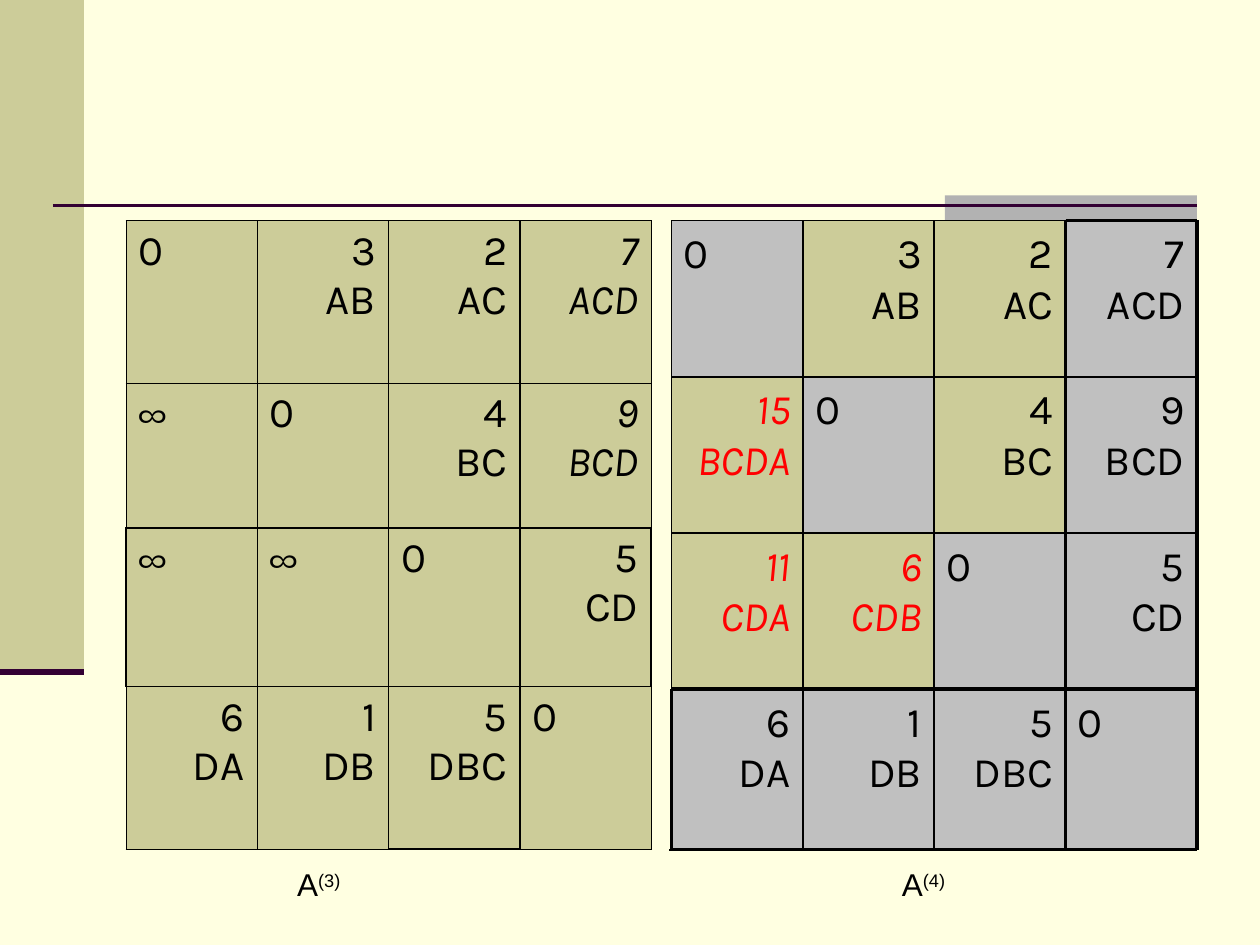
"""Builds a slide with the shortest-path matrices A(3) and A(4) side by side."""
from itertools import accumulate

from lxml import etree
from pptx import Presentation
from pptx.dml.color import RGBColor
from pptx.enum.shapes import MSO_CONNECTOR, MSO_SHAPE
from pptx.enum.text import MSO_ANCHOR, MSO_AUTO_SIZE, PP_ALIGN
from pptx.oxml.ns import qn
from pptx.util import Inches, Pt

RECT, STRAIGHT = MSO_SHAPE.RECTANGLE, MSO_CONNECTOR.STRAIGHT
TOP, LEFT, RIGHT = MSO_ANCHOR.TOP, PP_ALIGN.LEFT, PP_ALIGN.RIGHT
GROW = MSO_AUTO_SIZE.SHAPE_TO_FIT_TEXT
CREAM, KHAKI, SILVER, GREY = "FFFFE1", "CCCC99", "C0C0C0", "B2B2B2"
BLACK, RED, PLUM = "000000", "FF0000", "330033"
color = RGBColor.from_string

deck = Presentation()
deck.slide_width, deck.slide_height = Inches(10), Inches(7.5)
X, Y = deck.slide_width / 100, deck.slide_height / 100
slide = deck.slides.add_slide(deck.slide_layouts[6])
slide.background.fill.solid()
slide.background.fill.fore_color.rgb = color(CREAM)


def block(left, top, width, height, fill):
    """Add a plain filled rectangle, measured in percent of the slide."""
    shape = slide.shapes.add_shape(RECT, *map(round, (left * X, top * Y, width * X, height * Y)))
    shape.shadow.inherit = False
    shape.fill.solid()
    shape.fill.fore_color.rgb = color(fill)
    shape.line.fill.background()
    shape.text_frame.vertical_anchor = TOP
    return shape


def write(frame, entry, ink=BLACK, italic=False):
    """Write a distance and its route, one paragraph each."""
    parts = entry.split()
    frame.text = "\n".join(parts)
    style = {"name": "Karla", "size": Pt(24), "italic": italic}
    for paragraph in frame.paragraphs:
        paragraph.alignment = RIGHT if len(parts) > 1 else LEFT
        hanging = paragraph._p.get_or_add_pPr()
        hanging.set("marL", str(Inches(0.38)))
        hanging.set("indent", str(Inches(-0.38)))
        font = paragraph.runs[0].font
        font.color.rgb = color(ink)
        for key, value in style.items():
            setattr(font, key, value)


block(0, 0, 6.67, 71.11, KHAKI)
block(75, 20.67, 20, 2.67, GREY)

GRID_TOP = 23.33
COL = 41.7 / 4

step_3 = [
    ["0", "3 AB", "2 AC", "7 ACD"],
    ["∞", "0", "4 BC", "9 BCD"],
    ["∞", "∞", "0", "5 CD"],
    ["6 DA", "1 DB", "5 DBC", "0"],
]
row_heights = [17.2, 15.33, 16.8, 17.2]
new_in_3 = {"7 ACD", "9 BCD"}
matrix_3 = slide.shapes.add_table(
    4, 4, round(10 * X), round(GRID_TOP * Y), round(4 * COL * X), round(sum(row_heights) * Y)
).table
for r, entries in enumerate(step_3):
    matrix_3.rows[r].height = round(row_heights[r] * Y)
    matrix_3.columns[r].width = round(COL * X)
    for c, entry in enumerate(entries):
        cell = matrix_3.cell(r, c)
        write(cell.text_frame, entry, italic=entry in new_in_3)
        borders = {"lnL": (c, r), "lnR": (c + 1, r), "lnT": (r, c), "lnB": (r + 1, c)}
        for side, (edge, lane) in borders.items():
            heavy = edge in (2, 3) or (lane == 2 and edge in (0, 4))
            border = etree.SubElement(cell._tc.get_or_add_tcPr(), qn(f"a:{side}"))
            border.set("w", str(Pt(0.96 if heavy else 0.45)))
            paint = etree.SubElement(border, qn("a:solidFill"))
            etree.SubElement(paint, qn("a:srgbClr")).set("val", BLACK)
        cell.fill.solid()
        cell.fill.fore_color.rgb = color(KHAKI)

step_4 = [
    ["0", "3 AB", "2 AC", "7 ACD"],
    ["15 BCDA", "0", "4 BC", "9 BCD"],
    ["11 CDA", "6 CDB", "0", "5 CD"],
    ["6 DA", "1 DB", "5 DBC", "0"],
]
new_in_4 = {"15 BCDA", "11 CDA", "6 CDB"}
heights = [16.53, 16.53, 16.53, 17]
xs = [53.3 + COL * n for n in range(5)]
ys = list(accumulate(heights, initial=GRID_TOP))
for r, entries in enumerate(step_4):
    for c, entry in enumerate(entries):
        is_pivot = r == c or 3 in (r, c)
        is_new = entry in new_in_4
        tile = block(xs[c], ys[r], COL, heights[r], SILVER if is_pivot else KHAKI)
        tile.text_frame.word_wrap = True
        write(tile.text_frame, entry, RED if is_new else BLACK, is_new)

rules = [
    (4.2, 21.73, 95, 21.73, PLUM, 1.5),
    (0, 71.11, 6.67, 71.11, PLUM, 3.5),
    (xs[0], ys[0], xs[3], ys[0], BLACK, 1),
    (xs[3], ys[0], xs[4], ys[0], BLACK, 2),
    (xs[0], ys[0], xs[0], ys[3], BLACK, 1),
    (xs[0], ys[3], xs[0], ys[4], BLACK, 2),
    (53.1, ys[4], 73.9, ys[4], BLACK, 1),
]
for n in range(1, 5):
    weight = 1 if n < 3 else 2
    rules.append((xs[0], ys[n], xs[4], ys[n], BLACK, weight))
    rules.append((xs[n], ys[0], xs[n], ys[4], BLACK, weight))
for x1, y1, x2, y2, ink, weight in rules:
    rule = slide.shapes.add_connector(STRAIGHT, *map(round, (x1 * X, y1 * Y, x2 * X, y2 * Y)))
    rule.line.color.rgb = color(ink)
    rule.line.width = Pt(weight)
    etree.SubElement(rule._element.spPr, qn("a:effectLst"))

for left, step in ((22.6, "(3)"), (70.6, "(4)")):
    caption = block(left, 90.93, 5.4, 5.33, CREAM).text_frame
    for key, value in {"word_wrap": True, "auto_size": GROW, "margin_right": 0}.items():
        setattr(caption, key, value)
    label = caption.paragraphs[0]
    label.alignment = LEFT
    for text, baseline in (("A", 0), (step, 30000)):
        run = label.add_run()
        run.text = text
        run.font.color.rgb = color(BLACK)
        for key, value in {"name": "Arial", "size": Pt(18)}.items():
            setattr(run.font, key, value)
        run.font._element.set("baseline", str(baseline))

deck.save("out.pptx")
